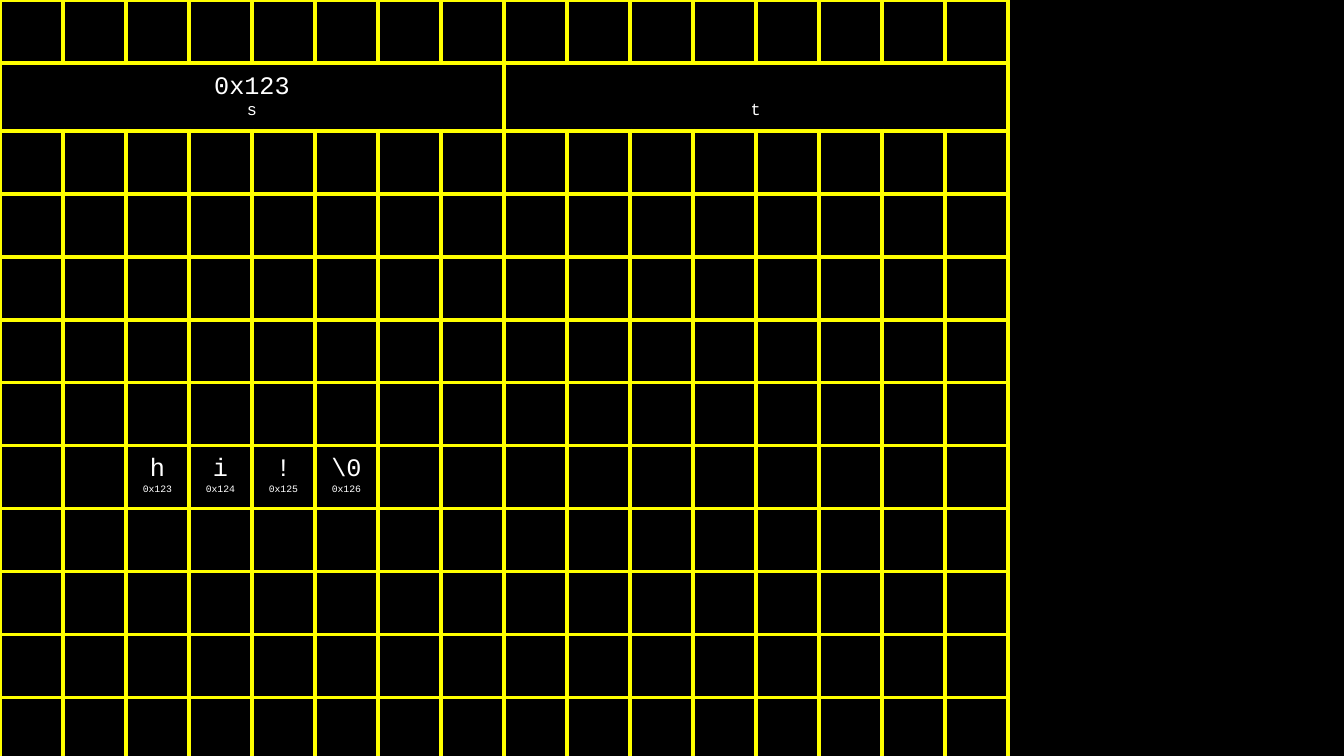
from lxml import etree
from pptx import Presentation
from pptx.dml.color import RGBColor
from pptx.enum import text
from pptx.oxml import ns
from pptx.util import Pt

BLACK = RGBColor(0x00, 0x00, 0x00)
WHITE = RGBColor(0xFF, 0xFF, 0xFF)
YELLOW = RGBColor(0xFF, 0xFF, 0x00)
FONT = "Courier New"
ROWS, COLUMNS, CELL_SIZE = 12, 16, 45
POINTER_ROW, POINTER_SPAN = 1, 8
STRING_ROW, STRING_COLUMN = 7, 2
FIRST_ADDRESS = 0x123


def add_border(cell, color, width):
    properties = cell._tc.get_or_add_tcPr()
    for side in ("a:lnL", "a:lnR", "a:lnT", "a:lnB"):
        line = etree.SubElement(properties, ns.qn(side), w=str(Pt(width)))
        fill = etree.SubElement(line, ns.qn("a:solidFill"))
        etree.SubElement(fill, ns.qn("a:srgbClr"), val=str(color))


def write_line(para, words, *, size, color=WHITE):
    para.alignment = text.PP_ALIGN.CENTER
    span = para.add_run()
    span.text = words
    span.font.name = FONT
    span.font.size = Pt(size)
    span.font.color.rgb = color


def label_cell(cell, value, label, *, label_size):
    cell.margin_left = cell.margin_right = Pt(7.2)
    cell.margin_top = cell.margin_bottom = Pt(7.2)
    frame = cell.text_frame
    para = frame.paragraphs[0]
    if value:
        write_line(para, value, size=18)
        para = frame.add_paragraph()
    else:
        cell.vertical_anchor = text.MSO_ANCHOR.BOTTOM
    write_line(para, label, size=label_size)


def add_memory_grid(page, left, top, cell_size):
    frame = page.shapes.add_table(
        ROWS, COLUMNS, Pt(left), Pt(top),
        Pt(COLUMNS * cell_size), Pt(ROWS * cell_size))
    grid = frame.table
    grid.first_row = grid.horz_banding = False
    for column in grid.columns:
        column.width = Pt(cell_size)
    for row in grid.rows:
        row.height = Pt(cell_size)
    for cell in grid.iter_cells():
        add_border(cell, YELLOW, 3)
        cell.fill.background()

    for index, (value, name) in enumerate([(hex(FIRST_ADDRESS), "s"), ("", "t")]):
        start = index * POINTER_SPAN
        cell = grid.cell(POINTER_ROW, start)
        cell.merge(grid.cell(POINTER_ROW, start + POINTER_SPAN - 1))
        label_cell(cell, value, name, label_size=12)

    for offset, character in enumerate(["h", "i", "!", "\\0"]):
        cell = grid.cell(STRING_ROW, STRING_COLUMN + offset)
        label_cell(cell, character, hex(FIRST_ADDRESS + offset), label_size=7)


def main():
    deck = Presentation()
    deck.slide_width, deck.slide_height = Pt(960), Pt(540)
    page = deck.slides.add_slide(deck.slide_layouts[6])
    page.background.fill.solid()
    page.background.fill.fore_color.rgb = BLACK
    add_memory_grid(page, 0, 0, CELL_SIZE)
    deck.save("out.pptx")


if __name__ == "__main__":
    main()
